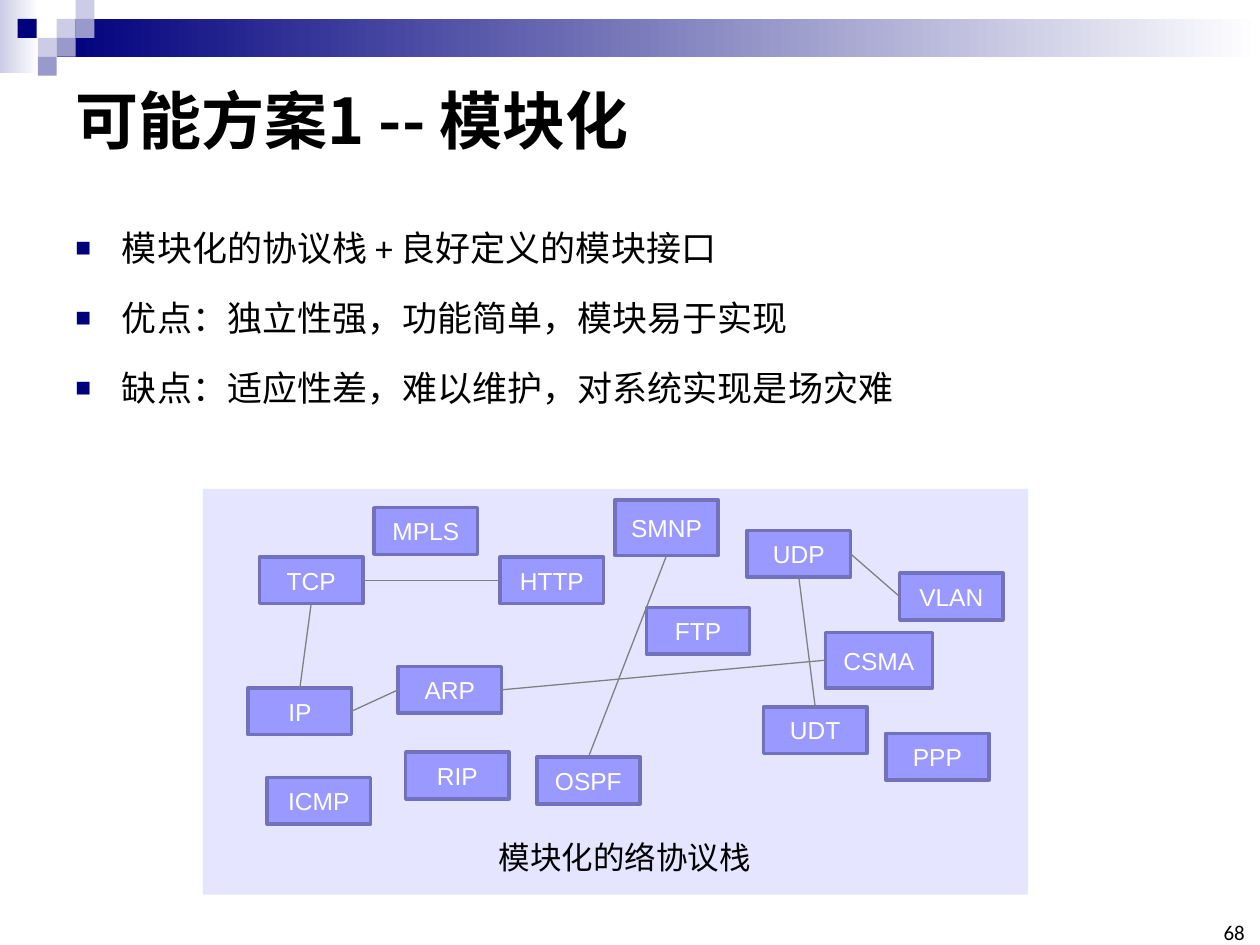
from typing import NamedTuple

from lxml import etree
from pptx import Presentation
from pptx import util as u
from pptx.dml.color import RGBColor
from pptx.enum import shapes, text
from pptx.oxml import ns

NAVY = RGBColor(0x00, 0x00, 0x7D)
PALE = RGBColor(0xCC, 0xCC, 0xE6)
MID = RGBColor(0x99, 0x99, 0xCC)
WHITE = RGBColor(0xFF, 0xFF, 0xFF)
BLACK = RGBColor(0, 0, 0)
PANEL = RGBColor(0xE5, 0xE5, 0xFF)
FILL = RGBColor(0x99, 0x99, 0xFF)
EDGE = RGBColor(0x71, 0x71, 0xBD)
GRAY = RGBColor(0x80, 0x80, 0x80)

CJK = "Noto Sans CJK SC"
TOP, LEFT, BOTTOM, RIGHT = range(4)


class Area(NamedTuple):
    x: float
    y: float
    w: float
    h: float


class Font(NamedTuple):
    name: str
    size: int
    color: RGBColor = BLACK
    bold: bool = False


class Node(NamedTuple):
    name: str
    x: float
    y: float
    w: float = 0.82
    h: float = 0.37


class Link(NamedTuple):
    start: str
    exit: int
    end: str
    entry: int


SQUARES = [
    (0.45, 0.15, PALE), (0.6, 0, PALE), (0.6, 0.15, MID), (0.3, 0.3, PALE),
    (0.14, 0.15, NAVY), (0.45, 0.3, MID), (0.3, 0.45, MID),
]
POINTS = [
    "模块化的协议栈 + 良好定义的模块接口",
    "优点：独立性强，功能简单，模块易于实现",
    "缺点：适应性差，难以维护，对系统实现是场灾难",
]
NODES = [
    Node("TCP", 2.06, 4.42), Node("ARP", 3.16, 5.29), Node("HTTP", 3.97, 4.42),
    Node("IP", 1.97, 5.46), Node("OSPF", 4.26, 6.01),
    Node("CSMA", 6.55, 5.02, 0.85, 0.44), Node("RIP", 3.22, 5.97),
    Node("UDP", 5.93, 4.21), Node("PPP", 7.03, 5.82), Node("VLAN", 7.14, 4.55),
    Node("MPLS", 2.97, 4.03), Node("FTP", 5.13, 4.82),
    Node("SMNP", 4.88, 3.97, h=0.44), Node("UDT", 6.06, 5.61),
    Node("ICMP", 2.12, 6.17),
]
LINKS = [
    Link("HTTP", LEFT, "TCP", RIGHT), Link("TCP", BOTTOM, "IP", TOP),
    Link("IP", RIGHT, "ARP", LEFT), Link("ARP", RIGHT, "CSMA", LEFT),
    Link("UDT", TOP, "UDP", BOTTOM), Link("UDP", RIGHT, "VLAN", LEFT),
    Link("SMNP", BOTTOM, "OSPF", TOP),
]


def inches(area: Area) -> list[int]:
    return [u.Inches(side) for side in area]


def add_run(para, words: str, font: Font) -> None:
    run = para.add_run()
    run.text = words
    run.font.name = font.name
    run.font.size = u.Pt(font.size)
    run.font.bold = font.bold
    run.font.color.rgb = font.color
    east = etree.SubElement(run.font._element, ns.qn("a:ea"))
    east.set("typeface", CJK)


def add_rect(slide, area: Area, color: RGBColor, fade: bool = False):
    """Draw a borderless rectangle, fading to white at the right if asked."""
    rect = slide.shapes.add_shape(shapes.MSO_SHAPE.RECTANGLE, *inches(area))
    rect.shadow.inherit = False
    rect.line.fill.background()
    if fade:
        rect.fill.gradient()
        rect.fill.gradient_angle = 0
        for stop, tint, place in zip(rect.fill.gradient_stops, (color, WHITE), (0, 1)):
            stop.color.rgb = tint
            stop.position = place
    else:
        rect.fill.solid()
        rect.fill.fore_color.rgb = color
    return rect


def add_text(slide, area: Area, lines: list[str], font: Font,
             anchor=text.MSO_ANCHOR.TOP, wrap: bool = True):
    frame = slide.shapes.add_textbox(*inches(area)).text_frame
    frame.word_wrap = wrap
    frame.vertical_anchor = anchor
    for i, line in enumerate(lines):
        para = frame.add_paragraph() if i else frame.paragraphs[0]
        add_run(para, line, font)
    return frame


def add_bullet(para) -> None:
    para.line_spacing = 1.5
    para.space_before = u.Pt(4)
    props = para._p.get_or_add_pPr()
    props.set("marL", str(u.Inches(0.37)))
    props.set("indent", str(u.Inches(-0.37)))
    color = etree.SubElement(props, ns.qn("a:buClr"))
    etree.SubElement(color, ns.qn("a:srgbClr")).set("val", str(NAVY))
    etree.SubElement(props, ns.qn("a:buSzPct")).set("val", "75000")
    etree.SubElement(props, ns.qn("a:buFont")).set("typeface", "Arial")
    etree.SubElement(props, ns.qn("a:buChar")).set("char", "■")


def add_node(slide, node: Node):
    box = add_rect(slide, Area(*node[1:]), FILL)
    box.line.color.rgb = EDGE
    box.line.width = u.Pt(2)
    frame = box.text_frame
    frame.vertical_anchor = text.MSO_ANCHOR.MIDDLE
    para = frame.paragraphs[0]
    para.alignment = text.PP_ALIGN.CENTER
    add_run(para, node.name, Font("Arial", 14, WHITE))
    return box


def add_link(slide, link: Link, boxes: dict) -> None:
    line = slide.shapes.add_connector(shapes.MSO_CONNECTOR.STRAIGHT, 0, 0, 0, 0)
    line.begin_connect(boxes[link.start], link.exit)
    line.end_connect(boxes[link.end], link.entry)
    line.line.color.rgb = GRAY
    line.line.width = u.Pt(0.75)
    etree.SubElement(line._element.spPr, ns.qn("a:effectLst"))


def main() -> None:
    deck = Presentation()
    deck.slide_width, deck.slide_height = u.Inches(10), u.Inches(7.5)
    slide = deck.slides.add_slide(deck.slide_layouts[6])

    add_rect(slide, Area(0, 0, 0.31, 0.58), PALE, fade=True)
    add_rect(slide, Area(0.45, 0.15, 9.55, 0.3), NAVY, fade=True)
    for x, y, color in SQUARES:
        add_rect(slide, Area(x, y, 0.15, 0.15), color)

    add_text(slide, Area(0.5, 0.5, 9, 0.89), ["可能方案1 -- 模块化"],
             Font(CJK, 36, bold=True), text.MSO_ANCHOR.MIDDLE)
    body = add_text(slide, Area(0.5, 1.58, 9, 1.97), POINTS, Font("Calibri", 20))
    for para in body.paragraphs:
        add_bullet(para)

    number = add_text(slide, Area(9.65, 7.33, 0.23, 0.17), ["68"],
                      Font("Calibri", 12), text.MSO_ANCHOR.BOTTOM)
    number.margin_left = number.margin_right = 0
    number.margin_top = number.margin_bottom = 0
    number.paragraphs[0].alignment = text.PP_ALIGN.RIGHT

    add_rect(slide, Area(1.61, 3.88, 6.55, 3.22), PANEL)
    add_text(slide, Area(3.86, 6.6, 2.22, 0.4), ["模块化的络协议栈"],
             Font(CJK, 18), wrap=False)
    boxes = {node.name: add_node(slide, node) for node in NODES}
    for link in LINKS:
        add_link(slide, link, boxes)

    deck.save("out.pptx")


if __name__ == "__main__":
    main()
